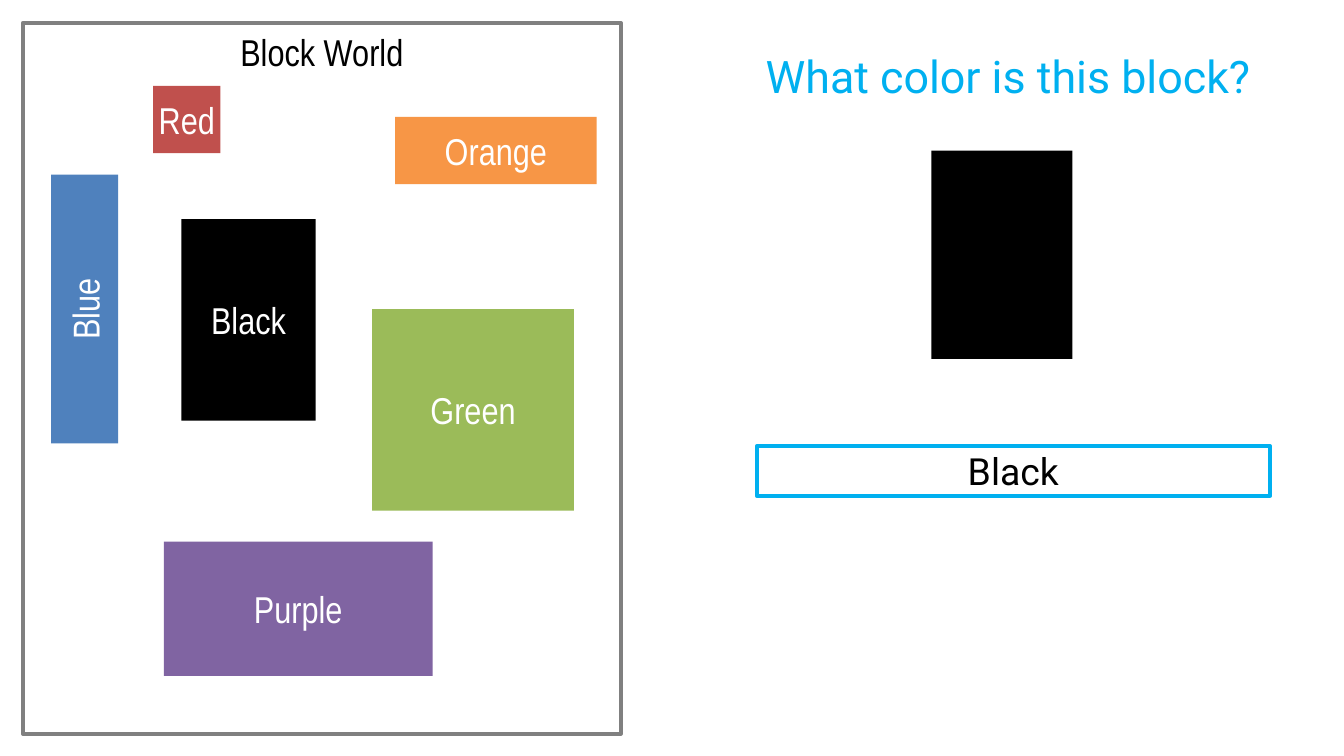
import pptx
import pptx.dml.color
import pptx.enum.shapes
import pptx.enum.text
import pptx.util

THEME = {
    "black": "000000", "white": "FFFFFF", "gray": "808080", "accent": "00B0F0",
    "blue": "4F81BD", "orange": "F79646", "purple": "8064A2",
    "green": "9BBB59", "red": "C0504D",
    "block_font": "Arial Narrow", "quiz_font": "Roboto",
    "title_size": 24, "text_size": 20, "line_width": 2,
}
Inches = pptx.util.Inches
color = pptx.dml.color.RGBColor.from_string


def write_text(shape, text, *, font="block_font", size="text_size",
               fill="white", anchor="MIDDLE", margin=None):
    frame = shape.text_frame
    frame.word_wrap = True
    frame.auto_size = pptx.enum.text.MSO_AUTO_SIZE.NONE
    frame.vertical_anchor = pptx.enum.text.MSO_ANCHOR[anchor]
    if margin is not None:
        frame.margin_left = frame.margin_right = Inches(margin)
        frame.margin_top = frame.margin_bottom = Inches(margin)
    paragraph = frame.paragraphs[0]
    paragraph.alignment = pptx.enum.text.PP_ALIGN.CENTER
    run = paragraph.add_run()
    run.text = text
    run.font.name = THEME[font]
    run.font.size = pptx.util.Pt(THEME[size])
    run.font.color.rgb = color(THEME[fill])


def add_box(left, top, width, height, fill=None, line=None):
    shape = slide.shapes.add_shape(
        pptx.enum.shapes.MSO_SHAPE.RECTANGLE,
        Inches(left), Inches(top), Inches(width), Inches(height))
    shape.shadow.inherit = False
    if fill:
        shape.fill.solid()
        shape.fill.fore_color.rgb = color(THEME[fill])
    else:
        shape.fill.background()
    if line:
        shape.line.color.rgb = color(THEME[line])
        shape.line.width = pptx.util.Pt(THEME["line_width"])
    else:
        shape.line.fill.background()
    return shape


# Widescreen slide, 16:9
presentation = pptx.Presentation()
presentation.slide_width = Inches(10)
presentation.slide_height = Inches(10 * 9 / 16)
slide = presentation.slides.add_slide(presentation.slide_layouts.get_by_name("Title Only"))

# Question title over the right half
title = slide.shapes.title
title.left, title.top = Inches(5), Inches(0)
title.width, title.height = Inches(5), Inches(1.12)
write_text(title, "What color is this block?", font="quiz_font",
           size="title_size", fill="accent")

# Block in question and its answer
add_box(6.93, 1.12, 1.05, 1.55, fill="black")
answer = add_box(5.63, 3.32, 3.82, 0.37, line="accent")
write_text(answer, "Black", font="quiz_font", fill="black")

# Block world frame
world = add_box(0.17, 0.17, 4.45, 5.29, line="gray")
write_text(world, "Block World", fill="black", anchor="TOP")

# Colored blocks, each labeled with its color
blocks = [
    ("Blue", 0.38, 1.3, 0.5, 2),
    ("Orange", 2.94, 0.87, 1.5, 0.5),
    ("Purple", 1.22, 4.03, 2, 1),
    ("Black", 1.35, 1.63, 1, 1.5),
    ("Green", 2.77, 2.3, 1.5, 1.5),
    ("Red", 1.14, 0.64, 0.5, 0.5),
]
for name, left, top, width, height in blocks:
    block = add_box(left, top, width, height, fill=name.lower())
    write_text(block, name, margin=0 if name == "Red" else None)
    if name == "Blue":  # tall and narrow: the label reads upward
        block.element.txBody.bodyPr.set("vert", "vert270")

presentation.save("out.pptx")
